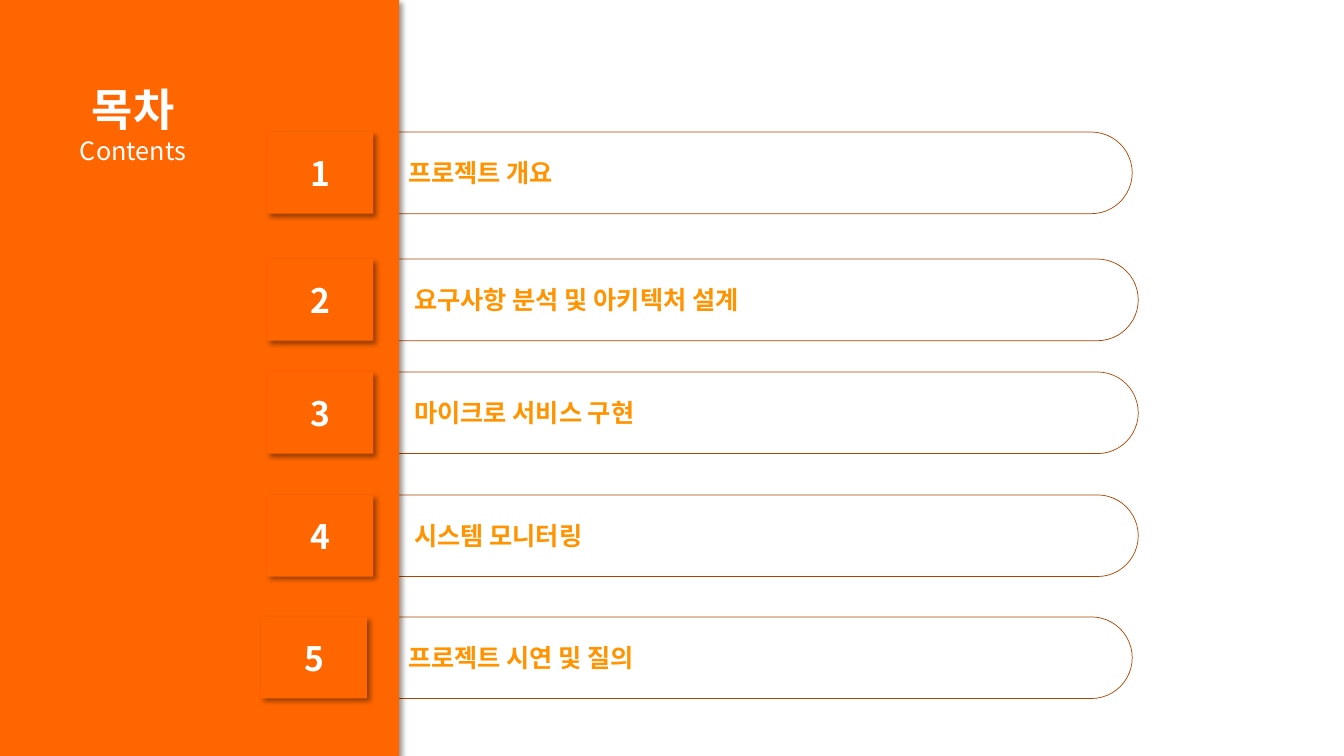
"""Build a contents slide with five numbered entries beside an orange panel."""
from lxml import etree
from pptx import Presentation
from pptx.dml.color import RGBColor
from pptx.enum.shapes import MSO_SHAPE
from pptx.enum.text import MSO_ANCHOR, MSO_AUTO_SIZE, PP_ALIGN
from pptx.oxml.ns import qn
from pptx.util import Inches, Pt

RECTANGLE = MSO_SHAPE.RECTANGLE
ROUNDED = MSO_SHAPE.ROUNDED_RECTANGLE
MIDDLE = MSO_ANCHOR.MIDDLE
NO_AUTOFIT = MSO_AUTO_SIZE.NONE
LEFT, CENTER = PP_ALIGN.LEFT, PP_ALIGN.CENTER

FONT = "Noto Sans CJK KR"
COLORS = {
    "panel": "FF6600",
    "outline": "AD4500",
    "entry": "FF9300",
    "white": "FFFFFF",
    "shadow": "000000",
}
TITLE_ONLY_LAYOUT = 5
ROW_HEIGHT = 0.81
BAR_WIDTH = 7.76
TAB_WIDTH = 1.05
BAR_MARGINS = {
    "margin_left": Inches(0.46),
    "margin_top": Inches(0.04),
    "margin_right": Inches(0.04),
    "margin_bottom": Inches(0.04),
}
ENTRIES = [
    ("프로젝트 개요", 1.31, 2.65, 3.47),
    ("요구사항 분석 및 아키텍처 설계", 2.57, 2.65, 3.53),
    ("마이크로 서비스 구현", 3.69, 2.65, 3.53),
    ("시스템 모니터링", 4.91, 2.65, 3.53),
    ("프로젝트 시연 및 질의", 6.12, 2.59, 3.47),
]


def set_attributes(target, values):
    """Set each named value on the target."""
    for name, value in values.items():
        setattr(target, name, value)


def color(name):
    """Return the named colour."""
    return RGBColor.from_string(COLORS[name])


def fill_shape(shape, fill):
    """Give a shape a solid fill."""
    shape.fill.solid()
    shape.fill.fore_color.rgb = color(fill)


def add_box(slide, preset, left, top, width, height, fill):
    """Add a filled shape without outline or shadow."""
    shape = slide.shapes.add_shape(
        preset, Inches(left), Inches(top), Inches(width), Inches(height)
    )
    shape.shadow.inherit = False
    fill_shape(shape, fill)
    shape.line.fill.background()
    return shape


def add_shadow(shape):
    """Add a soft shadow towards the lower right."""
    effects = shape._element.spPr.find(qn("a:effectLst"))
    shadow = etree.SubElement(
        effects,
        qn("a:outerShdw"),
        blurRad=str(Pt(4)),
        dist=str(Pt(3)),
        dir=str(45 * 60000),
        algn="tl",
        rotWithShape="0",
    )
    tint = etree.SubElement(shadow, qn("a:srgbClr"), val=COLORS["shadow"])
    etree.SubElement(tint, qn("a:alpha"), val="40000")


def write_line(paragraph, text, size, text_color, bold=True, alignment=CENTER):
    """Write one formatted run into a paragraph."""
    paragraph.alignment = alignment
    run = paragraph.add_run()
    run.text = text
    set_attributes(run.font, {"name": FONT, "size": Pt(size), "bold": bold})
    run.font.color.rgb = color(text_color)
    etree.SubElement(run._r.get_or_add_rPr(), qn("a:ea"), typeface=FONT)


def add_bar(slide, text, left, top):
    """Add the outlined bar that holds an entry's name."""
    bar = add_box(slide, ROUNDED, left, top, BAR_WIDTH, ROW_HEIGHT, "white")
    bar.adjustments[0] = 0.5
    bar.line.color.rgb = color("outline")
    bar.line.width = Pt(0.5)
    frame = bar.text_frame
    set_attributes(frame, {**BAR_MARGINS, "vertical_anchor": MIDDLE})
    write_line(frame.paragraphs[0], text, 18, "entry", alignment=LEFT)


def add_tab(slide, number, left, top):
    """Add the raised tab that holds an entry's number."""
    tab = add_box(slide, RECTANGLE, left, top, TAB_WIDTH, ROW_HEIGHT, "panel")
    add_shadow(tab)
    tab.text_frame.vertical_anchor = MIDDLE
    write_line(tab.text_frame.paragraphs[0], str(number), 24, "white")


def place_title(slide):
    """Place the two-line title on top of the panel."""
    title = slide.shapes.title
    set_attributes(title, {
        "left": Inches(0.25),
        "top": Inches(0.76),
        "width": Inches(2.14),
        "height": Inches(0.93),
    })
    fill_shape(title, "panel")
    frame = title.text_frame
    set_attributes(frame, {
        "vertical_anchor": MIDDLE,
        "auto_size": NO_AUTOFIT,
        "word_wrap": True,
    })
    write_line(frame.paragraphs[0], "목차", 32, "white")
    write_line(frame.add_paragraph(), "Contents", 18, "white", bold=False)
    slide.shapes._spTree.append(title._element)


def main():
    """Build and save the slide."""
    presentation = Presentation()
    presentation.slide_width = Inches(13.33)
    presentation.slide_height = Inches(7.5)
    layout = presentation.slide_layouts[TITLE_ONLY_LAYOUT]
    slide = presentation.slides.add_slide(layout)

    for text, top, _, bar_left in ENTRIES:
        add_bar(slide, text, bar_left, top)
    add_shadow(add_box(slide, RECTANGLE, 0, 0, 3.96, 7.5, "panel"))
    for number, (_, top, tab_left, _) in enumerate(ENTRIES, start=1):
        add_tab(slide, number, tab_left, top)
    place_title(slide)

    presentation.save("out.pptx")


if __name__ == "__main__":
    main()
